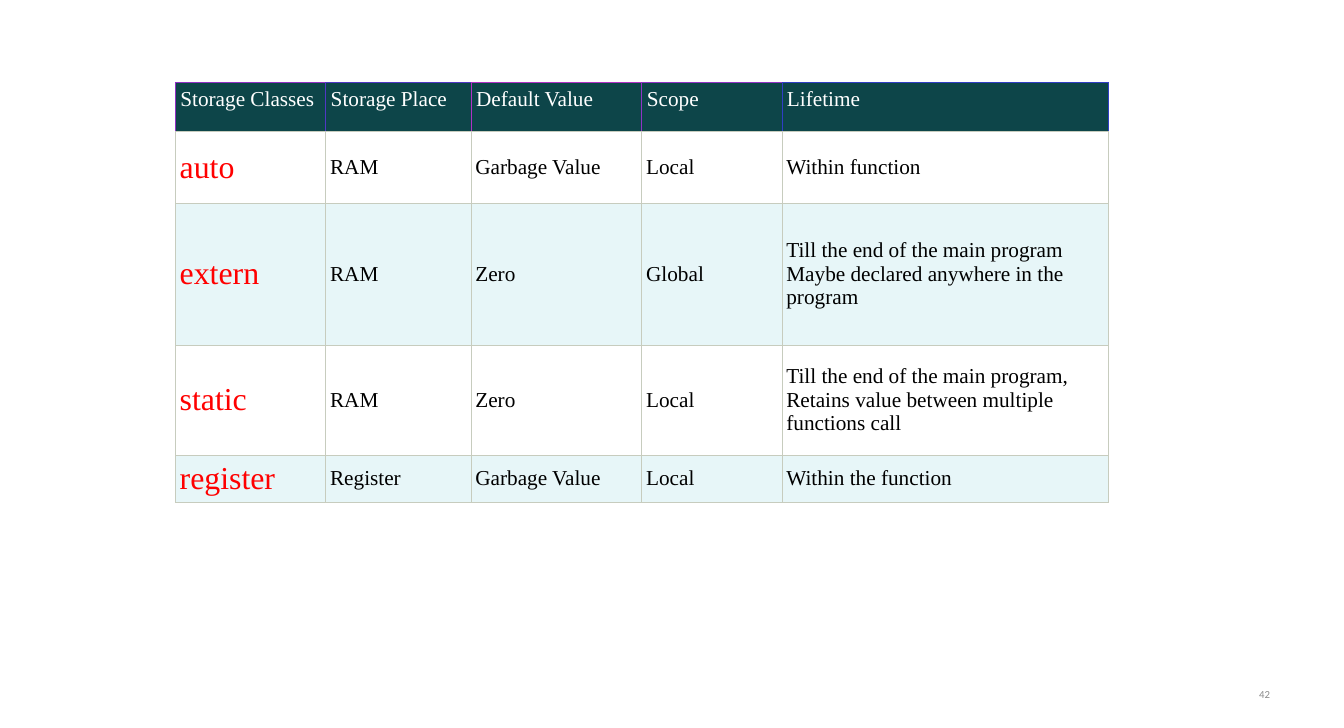
"""Build a slide with a table comparing the storage classes of C."""
from dataclasses import dataclass

from lxml.etree import SubElement
from pptx import Presentation
from pptx.dml.color import RGBColor
from pptx.enum.text import MSO_ANCHOR as Anchor, PP_ALIGN as Align
from pptx.oxml.ns import qn
from pptx.slide import Slide
from pptx.table import _Cell as Cell
from pptx.text.text import Font
from pptx.util import Inches, Pt

SERIF = "Times New Roman"
GRID_COLOR = "C7CCBE"
GRID_WIDTH = 0.6
HEADER_EDGE_WIDTH = 1
HEADER_EDGES = ["9031C5", "5037C5", "B031C5", "9033C5", "303EC5", "303EC5"]
COLUMN_WIDTHS = [2.36, 2.28, 2.68, 2.2, 5.12]
HEADINGS = ["Storage Classes", "Storage Place", "Default Value", "Scope", "Lifetime"]


@dataclass(frozen=True)
class StorageClass:
    name: str
    place: str
    default: str
    scope: str
    lifetime: str
    height: float


@dataclass(frozen=True)
class CellStyle:
    size: float
    color: str
    fill: str
    margin: float
    anchor: Anchor


@dataclass(frozen=True)
class Border:
    side: str
    color: str = GRID_COLOR
    width: float = GRID_WIDTH


STORAGE_CLASSES = [
    StorageClass("auto", "RAM", "Garbage Value", "Local", "Within function", 1.13),
    StorageClass("extern", "RAM", "Zero", "Global",
                 "Till the end of the main program Maybe declared anywhere in the program", 2.22),
    StorageClass("static", "RAM", "Zero", "Local",
                 "Till the end of the main program, Retains value between multiple functions call",
                 1.73),
    StorageClass("register", "Register", "Garbage Value", "Local", "Within the function", 0.73),
]
HEADER_HEIGHT = 0.76
HEADER_STYLE = CellStyle(24, "FFFFFF", "0D4549", 0.08, Anchor.TOP)
BAND_FILLS = ["FFFFFF", "E7F6F8"]


def color(hex_code: str) -> RGBColor:
    return RGBColor.from_string(hex_code)


def format_font(font: Font, name: str, size: float, hex_code: str) -> None:
    font.name = name
    font.size = Pt(size)
    font.color.rgb = color(hex_code)


def add_border(cell: Cell, border: Border) -> None:
    properties = cell._tc.get_or_add_tcPr()
    line = SubElement(properties, qn(f"a:ln{border.side}"), w=str(Pt(border.width)))
    fill = SubElement(line, qn("a:solidFill"))
    SubElement(fill, qn("a:srgbClr"), val=border.color)


def fill_cell(cell: Cell, text: str, style: CellStyle, borders: list[Border]) -> None:
    for border in borders:
        add_border(cell, border)
    cell.fill.solid()
    cell.fill.fore_color.rgb = color(style.fill)
    cell.vertical_anchor = style.anchor
    cell.margin_left = cell.margin_right = Inches(style.margin)
    cell.margin_top = cell.margin_bottom = Inches(style.margin)
    cell.text_frame.text = text
    format_font(cell.text_frame.paragraphs[0].runs[0].font, SERIF, style.size, style.color)


def add_storage_table(slide: Slide) -> None:
    heights = [HEADER_HEIGHT] + [entry.height for entry in STORAGE_CLASSES]
    table = slide.shapes.add_table(
        len(heights), len(COLUMN_WIDTHS), Inches(2.75), Inches(1.3),
        Inches(sum(COLUMN_WIDTHS)), Inches(sum(heights))).table
    table.first_row = table.horz_banding = False
    for column, width in zip(table.columns, COLUMN_WIDTHS):
        column.width = Inches(width)
    for row, height in zip(table.rows, heights):
        row.height = Inches(height)

    for index, heading in enumerate(HEADINGS):
        left, right = HEADER_EDGES[index:index + 2]
        borders = [Border("L", left, HEADER_EDGE_WIDTH), Border("R", right, HEADER_EDGE_WIDTH),
                   Border("T", left, HEADER_EDGE_WIDTH), Border("B")]
        fill_cell(table.cell(0, index), heading, HEADER_STYLE, borders)

    grid = [Border(side) for side in "LRTB"]
    for row_index, entry in enumerate(STORAGE_CLASSES):
        band = BAND_FILLS[row_index % 2]
        name_style = CellStyle(36, "FF0000", band, 0.07, Anchor.MIDDLE)
        body_style = CellStyle(24, "000000", band, 0.07, Anchor.MIDDLE)
        texts = [entry.name, entry.place, entry.default, entry.scope, entry.lifetime]
        for index, text in enumerate(texts):
            style = body_style if index else name_style
            fill_cell(table.cell(row_index + 1, index), text, style, grid)


def add_slide_number(slide: Slide, number: str) -> None:
    box = slide.shapes.add_textbox(Inches(15.11), Inches(10.58), Inches(4.92), Inches(0.61))
    frame = box.text_frame
    frame.word_wrap = True
    frame.vertical_anchor = Anchor.MIDDLE
    frame.text = number
    paragraph = frame.paragraphs[0]
    paragraph.alignment = Align.RIGHT
    format_font(paragraph.runs[0].font, "Calibri", 12.2, "8C8C8C")


def main() -> None:
    presentation = Presentation()
    presentation.slide_width = Inches(21.09)
    presentation.slide_height = Inches(11.42)
    slide = presentation.slides.add_slide(presentation.slide_layouts[6])
    add_slide_number(slide, "42")
    add_storage_table(slide)
    presentation.save("out.pptx")


if __name__ == "__main__":
    main()
